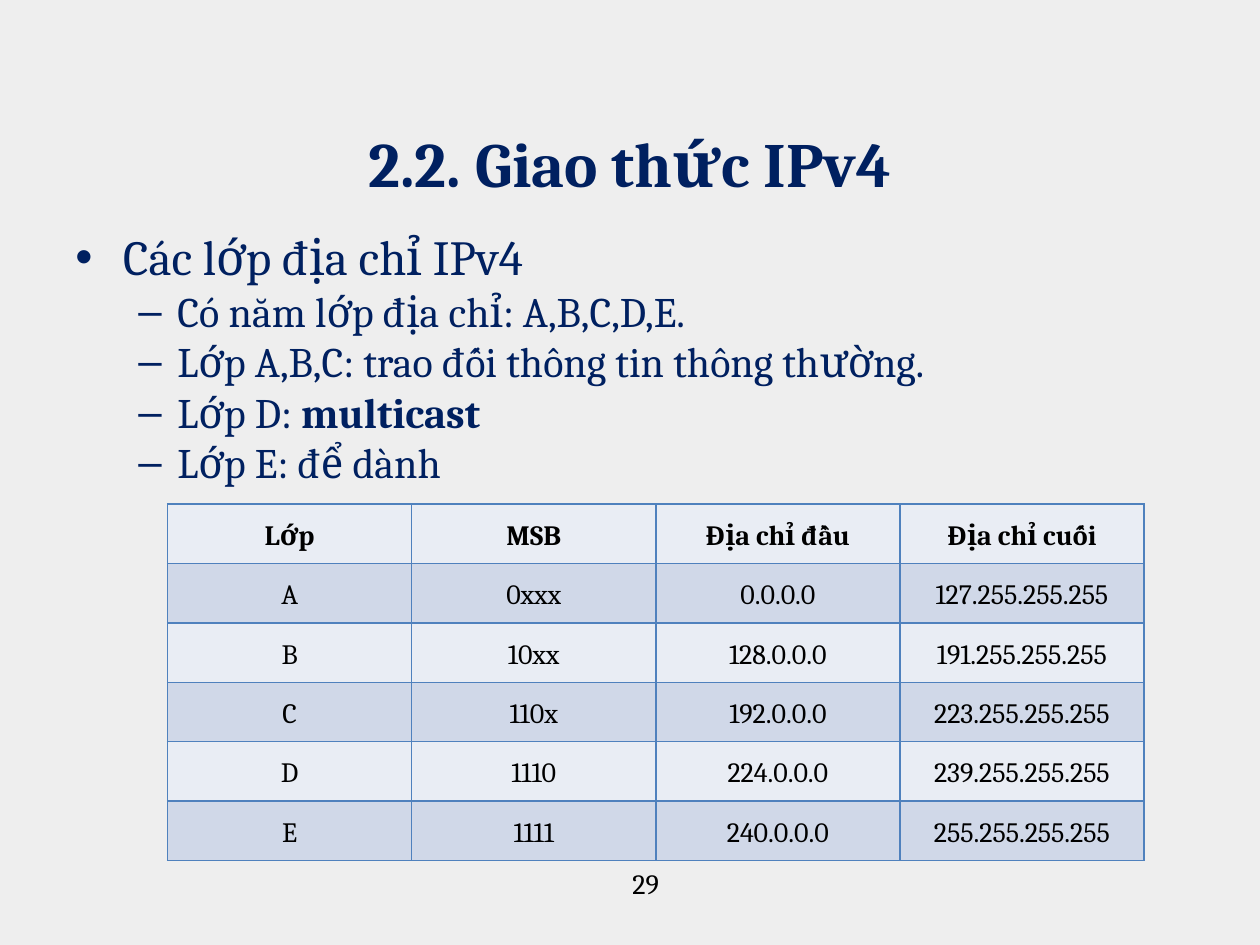
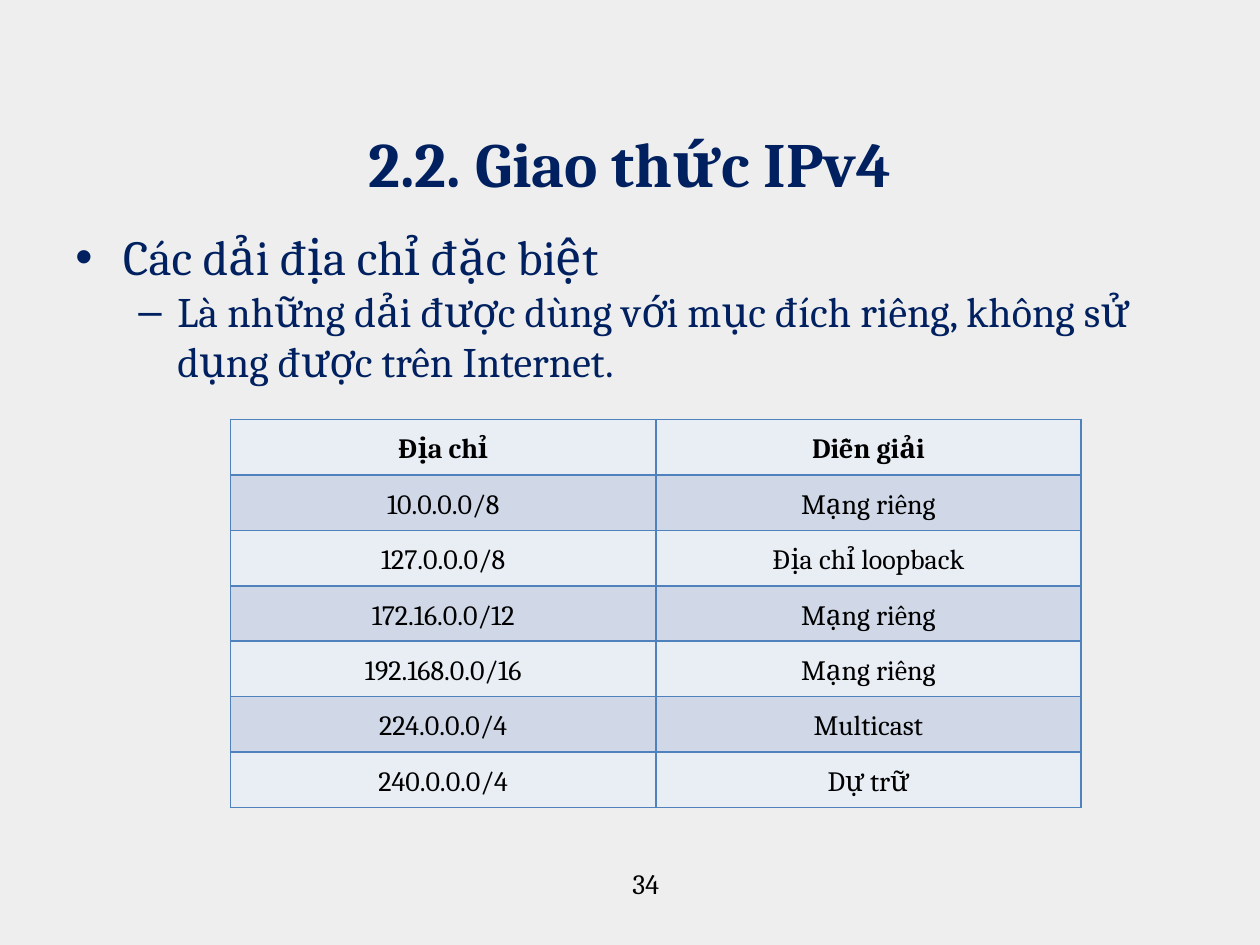
"""Build two slides on IPv4 address classes and special ranges."""
from lxml import etree
from pptx import Presentation
from pptx.dml import color
from pptx.enum import text
from pptx.oxml import ns
from pptx.util import Inches, Pt

FONT = "Cambria"
NAVY, BLACK, GREY, BLUE = "002060", "000000", "EEEEEE", "4F81BD"
BANDS = ["E9EDF4", "D0D8E8"]
TITLE = "2.2. Giao thức IPv4"
LEVELS = [
    {"mark": "•", "size": 28, "left": 0.38, "hang": 0.38},
    {"mark": "–", "size": 24, "left": 0.81, "hang": 0.31},
]

SLIDES = [
    {
        "page": "29",
        "body": (0.5, 1.75, 8.83, 4.95),
        "points": [
            (0, ["Các lớp địa chỉ IPv4"]),
            (1, ["Có năm lớp địa chỉ: A,B,C,D,E."]),
            (1, ["Lớp A,B,C: trao đối thông tin thông thường."]),
            (1, ["Lớp D: ", "multicast"]),
            (1, ["Lớp E: để dành"]),
        ],
        "grid": (1.33, 4, 7.75, 2.83),
        "inset": 0,
        "rows": [
            ("Lớp", "MSB", "Địa chỉ đầu", "Địa chỉ cuối"),
            ("A", "0xxx", "0.0.0.0", "127.255.255.255"),
            ("B", "10xx", "128.0.0.0", "191.255.255.255"),
            ("C", "110x", "192.0.0.0", "223.255.255.255"),
            ("D", "1110", "224.0.0.0", "239.255.255.255"),
            ("E", "1111", "240.0.0.0", "255.255.255.255"),
        ],
    },
    {
        "page": "34",
        "body": (0.5, 1.75, 8.83, 5.25),
        "points": [
            (0, ["Các dải địa chỉ đặc biệt"]),
            (1, ["Là những dải được dùng với mục đích riêng, "
                 "không sử dụng được trên Internet."]),
        ],
        "grid": (1.83, 3.33, 6.75, 3.08),
        "inset": 0.07,
        "rows": [
            ("Địa chỉ", "Diễn giải"),
            ("10.0.0.0/8", "Mạng riêng"),
            ("127.0.0.0/8", "Địa chỉ loopback"),
            ("172.16.0.0/12", "Mạng riêng"),
            ("192.168.0.0/16", "Mạng riêng"),
            ("224.0.0.0/4", "Multicast"),
            ("240.0.0.0/4", "Dự trữ"),
        ],
    },
]


def paint(target, tint):
    target.solid()
    target.fore_color.rgb = color.RGBColor.from_string(tint)


def write(para, words, size, tint, bold=False):
    run = para.add_run()
    run.text = words
    run.font.name = FONT
    run.font.size = Pt(size)
    run.font.bold = bold
    paint(run.font.fill, tint)


def center(para, words, size, tint, bold=False):
    para.alignment = text.PP_ALIGN.CENTER
    write(para, words, size, tint, bold)


def add_box(slide, place):
    frame = slide.shapes.add_textbox(*map(Inches, place)).text_frame
    frame.word_wrap = True
    return frame


def add_title(slide):
    title = slide.shapes.title
    title.left, title.top, title.width, title.height = map(Inches, (0.5, 0.39, 9, 1.25))
    title.text_frame.vertical_anchor = text.MSO_ANCHOR.BOTTOM
    center(title.text_frame.paragraphs[0], TITLE, 36, NAVY, True)


def add_points(slide, place, points):
    frame = add_box(slide, place)
    for i, (rank, parts) in enumerate(points):
        para = frame.add_paragraph() if i else frame.paragraphs[0]
        para.level = rank
        level = LEVELS[rank]
        props = para._p.get_or_add_pPr()
        props.set("marL", str(Inches(level["left"])))
        props.set("indent", str(-Inches(level["hang"])))
        etree.SubElement(props, ns.qn("a:buFont"), typeface="Arial")
        etree.SubElement(props, ns.qn("a:buChar"), char=level["mark"])
        for j, words in enumerate(parts):
            write(para, words, level["size"], NAVY, j > 0)


def add_edges(cell):
    props = cell._tc.get_or_add_tcPr()
    for side in ("lnL", "lnR", "lnT", "lnB"):
        line = etree.SubElement(props, ns.qn("a:" + side), w=str(Pt(1)))
        fill = etree.SubElement(line, ns.qn("a:solidFill"))
        etree.SubElement(fill, ns.qn("a:srgbClr"), val=BLUE)


def add_grid(slide, place, rows, inset):
    left, top, width, height = map(Inches, place)
    count, span = len(rows), len(rows[0])
    grid = slide.shapes.add_table(count, span, left, top, width, height).table
    for col in grid.columns:
        col.width = width // span
    for r, (row, values) in enumerate(zip(grid.rows, rows)):
        row.height = height // count
        for cell, words in zip(row.cells, values):
            cell.margin_left = cell.margin_right = Inches(inset)
            cell.margin_top = cell.margin_bottom = 0
            cell.vertical_anchor = text.MSO_ANCHOR.MIDDLE
            add_edges(cell)
            paint(cell.fill, BANDS[r % 2])
            para = cell.text_frame.paragraphs[0]
            para.line_spacing = 1.15
            center(para, words, 16, BLACK, r == 0)


def main():
    deck = Presentation()
    deck.slide_width, deck.slide_height = Inches(10), Inches(7.5)
    for data in SLIDES:
        slide = deck.slides.add_slide(deck.slide_layouts[5])
        paint(slide.background.fill, GREY)
        add_points(slide, data["body"], data["points"])
        add_title(slide)
        page = add_box(slide, (0.75, 6.83, 8.75, 0.52))
        center(page.paragraphs[0], data["page"], 16, BLACK)
        add_grid(slide, data["grid"], data["rows"], data["inset"])
    deck.save("out.pptx")


if __name__ == "__main__":
    main()
